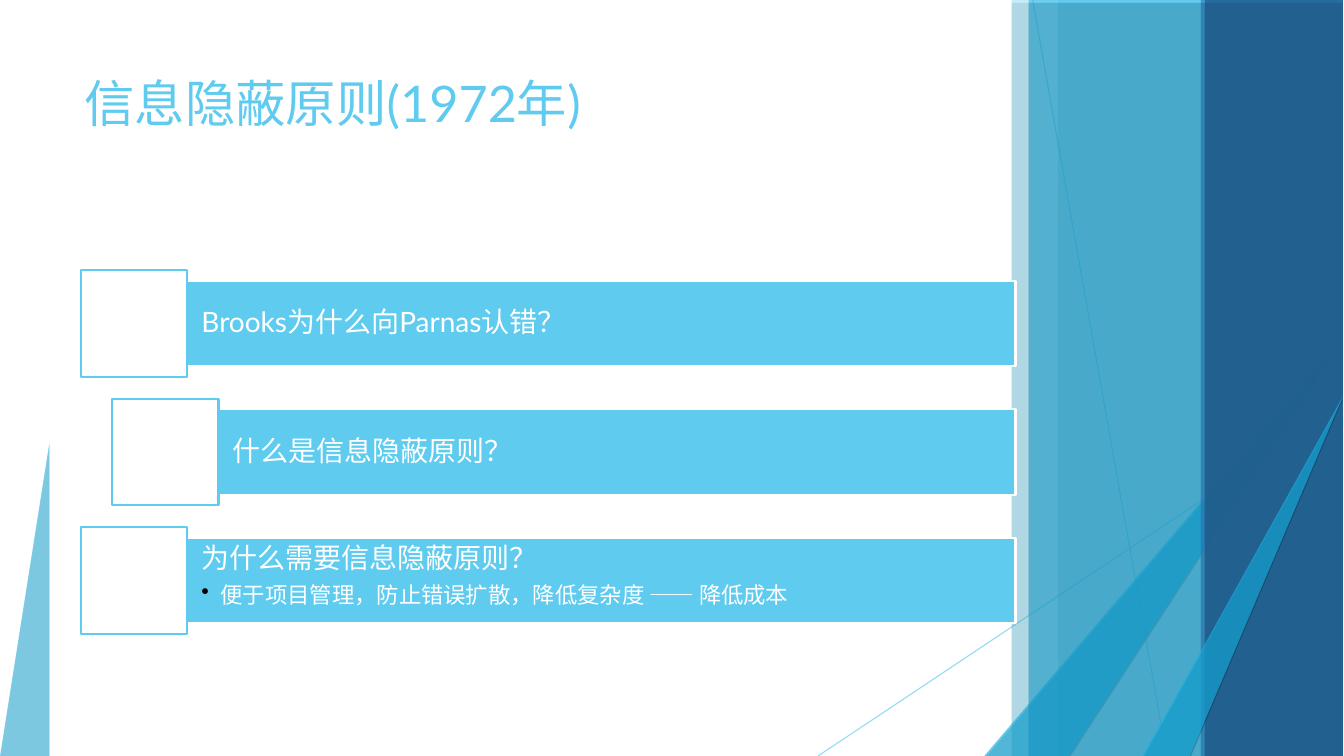
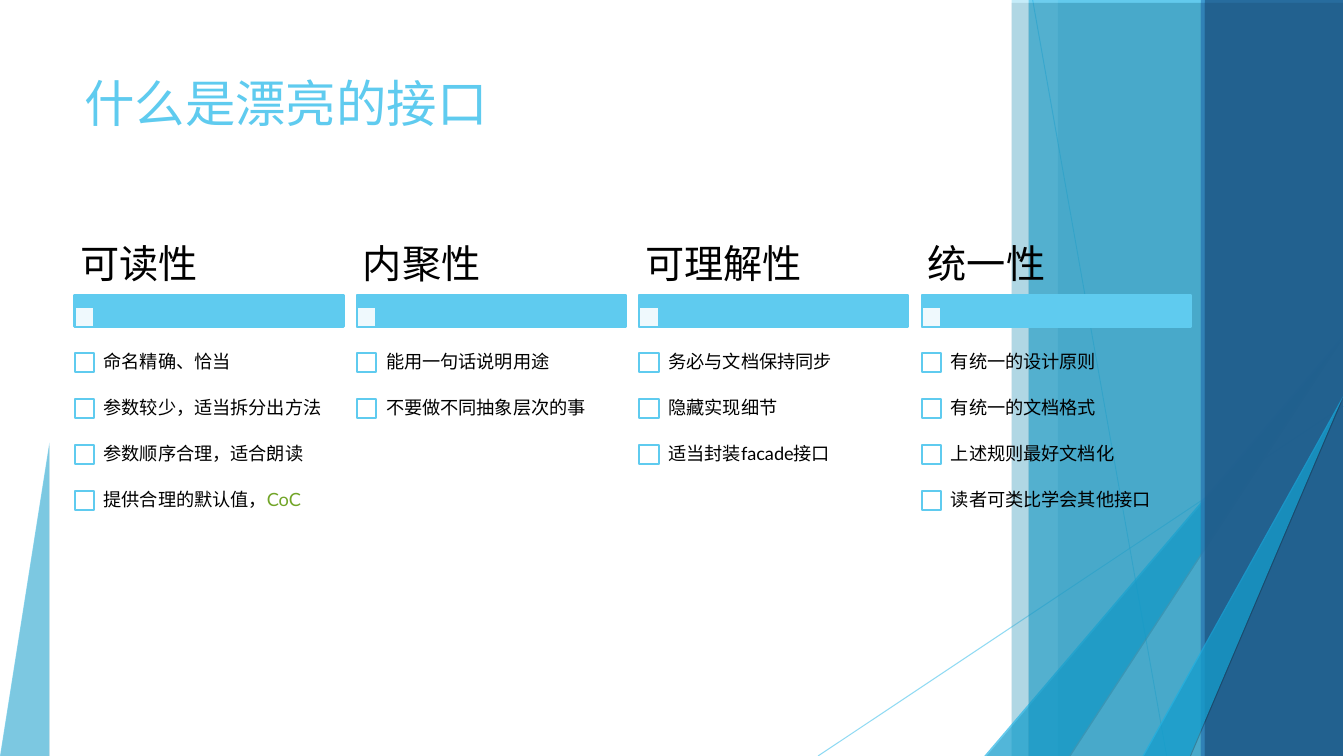
from pptx import Presentation
from pptx.dml.color import RGBColor
from pptx.enum.shapes import MSO_CONNECTOR, MSO_SHAPE
from pptx.enum.text import MSO_ANCHOR
from pptx.oxml.xmlchemy import OxmlElement
from pptx.util import Inches, Pt

# Square grid cells, 75 rows high
ROWS, COLS = 75, 133.4
CELL = Inches(7.5) / ROWS
FONT = "Lato"
SKY, AQUA, BLUE, NAVY = "5FCBEF", "17B0E4", "2E83C3", "226292"
WHITE, BLACK, GREEN = "FFFFFF", "000000", "72A528"


def cells(*nums):
    return [round(n * CELL) for n in nums]


def tint(form, color):
    """Set a fill, line or font colour from a hex string."""
    if hasattr(form, "solid"):
        form.solid()
        form = form.fore_color
    else:
        form = form.color
    form.rgb = RGBColor.from_string(color)


def node(parent, tag, **attrs):
    child = OxmlElement(tag)
    for key, value in attrs.items():
        child.set(key, str(value))
    parent.append(child)
    return child


def fade(shape, where, share):
    color = shape.element.xpath(f"./p:spPr/{where}a:solidFill/a:srgbClr")[0]
    node(color, "a:alpha", val=share * 1000)


def paint(shape, fill, alpha=100, line=None):
    shape.shadow.inherit = False
    tint(shape.fill, fill)
    if alpha < 100:
        fade(shape, "", alpha)
    if line:
        tint(shape.line, line)
        shape.line.width = Pt(1.5)
    else:
        shape.line.fill.background()
    return shape


def rect(slide, box, fill, alpha=100, line=None):
    shape = slide.shapes.add_shape(MSO_SHAPE.RECTANGLE, *cells(*box))
    return paint(shape, fill, alpha, line)


def shade(shape):
    effects = shape.element.xpath("./p:spPr/a:effectLst")[0]
    drop = node(effects, "a:outerShdw", dist=Pt(2), dir=5400000, rotWithShape=0)
    node(node(drop, "a:srgbClr", val=BLACK), "a:alpha", val=35000)


def frame(shape, insets, anchor=MSO_ANCHOR.MIDDLE):
    """Prepare a text frame; insets are left, top, right, bottom."""
    text = shape.text_frame
    text.word_wrap = True
    text.vertical_anchor = anchor
    (text.margin_left, text.margin_top,
     text.margin_right, text.margin_bottom) = cells(*insets)
    return text


def style(para, size, color, after=0, leading=0.9):
    para.alignment = 1
    para.line_spacing = leading
    para.space_after = Pt(after)
    para.font.name = FONT
    para.font.size = Pt(size)
    tint(para.font, color)


def label(slide, box, text, size, insets, after, color=BLACK,
          anchor=MSO_ANCHOR.MIDDLE, leading=0.9):
    area = frame(slide.shapes.add_textbox(*cells(*box)), insets, anchor)
    para = area.paragraphs[0]
    para.text = text
    style(para, size, color, after, leading)
    return para


def dot(para):
    props = para._p.get_or_add_pPr()
    props.set("marL", str(Inches(0.19)))
    props.set("indent", str(-Inches(0.19)))
    node(node(props, "a:buClr"), "a:srgbClr", val=BLACK)
    node(props, "a:buChar", char="•")


def band(slide, left, color, alpha):
    shade(rect(slide, (left, 0, 133.3 - left, ROWS), color, alpha))


def wedge(slide, points, color, alpha):
    first, *rest = [cells(*point) for point in points]
    pen = slide.shapes.build_freeform(*first)
    pen.add_line_segments(rest, close=True)
    shade(paint(pen.convert_to_shape(), color, alpha))


def backdrop(slide):
    # Thin rays
    for ends in ((102.5, 0, 115.8, ROWS), (133.3, 40.3, 81.2, ROWS)):
        ray = slide.shapes.add_connector(MSO_CONNECTOR.STRAIGHT, *cells(*ends))
        tint(ray.line.fill, SKY)
        ray.line.width = Pt(0.75)
        fade(ray, "a:ln/", 70)
        node(ray.element.spPr, "a:effectLst")
    # Bands and wedges, from back to front
    band(slide, 100.4, SKY, 36)
    band(slide, 105, SKY, 20)
    wedge(slide, ((97.7, ROWS), (133.3, 33.3), (106.1, ROWS)), AQUA, 66)
    band(slide, 102.1, AQUA, 50)
    band(slide, 119.2, BLUE, 70)
    band(slide, 119.6, NAVY, 80)
    wedge(slide, ((113.4, ROWS), (133.3, 39.3), (118.1, ROWS)), AQUA, 66)
    wedge(slide, ((0, ROWS), (4.9, 43.9), (4.9, ROWS)), SKY, 70)


def page(deck, title):
    slide = deck.slides.add_slide(deck.slide_layouts[6])
    backdrop(slide)
    label(slide, (7.4, 6.7, 94, 14.4), title, 36, (1, 0.5, 1, 0.5), 0,
          SKY, MSO_ANCHOR.TOP, 1)
    return slide


def bar(slide, box, lines):
    """Bar with a square at its left end; lines after the first are bullets."""
    left, top, width, side = box
    thick = side * 0.8
    shape = rect(slide, (left + side / 2, top + side * 0.1,
                         width - side / 2, thick), SKY, line=WHITE)
    anchor = MSO_ANCHOR.TOP if len(lines) > 1 else MSO_ANCHOR.MIDDLE
    text = frame(shape, (6.7, 0.6, 0.6, 0.6), anchor)
    for index, line in enumerate(lines):
        para = text.add_paragraph() if index else text.paragraphs[0]
        para.text = line
        if index:
            para.level = 1
            para.line_spacing, para.space_after = 0.9, Pt(2.5)
            dot(para)
            style(para, 16, WHITE, 2.5)
        else:
            style(para, 20, WHITE, 7)
    rect(slide, (left, top, side, side), WHITE, line=SKY)


def stack(slide, box, rows):
    left, top, width, height = box
    side = 10.6
    pitch = (height - side) / (len(rows) - 1)
    for index, lines in enumerate(rows):
        shift = 3.1 * (index % 2)
        bar(slide, (left + shift, top + index * pitch, width - shift, side), lines)


def column(slide, box, head, items):
    left, top, width, _ = box
    tick, pitch = 1.9, 4.57
    # Heading and its bar
    rect(slide, (left, top + 5.7, width, 3.1), SKY, line=SKY)
    rect(slide, (left, top + 6.9, tick, tick), WHITE, 90, SKY)
    label(slide, (left, top, width, 5.6), head, 28, (0.6, 0.4, 0.6, 0.4), 9.9)
    # Check list
    for index, (text, *marked) in enumerate(items):
        row = top + 10.1 + index * pitch
        rect(slide, (left, row + 1.3, tick, tick), WHITE, line=SKY)
        para = label(slide, (left + tick, row, width - tick, pitch),
                     text, 13, (1, 1, 1, 1), 4.6)
        for word in marked:
            run = para.add_run()
            run.text = word
            tint(run.font, GREEN)


def table(slide, box, lists):
    left, top, width, height = box
    wide = 26.7
    pitch = (width - wide) / (len(lists) - 1)
    for index, (head, items) in enumerate(lists):
        column(slide, (left + index * pitch, top, wide, height), head, items)


BARS = [
    ["Brooks为什么向Parnas认错？"],
    ["什么是信息隐蔽原则？"],
    ["为什么需要信息隐蔽原则？",
     "便于项目管理，防止错误扩散，降低复杂度 —— 降低成本"],
]
LISTS = [
    ("可读性", [("命名精确、恰当",), ("参数较少，适当拆分出方法",),
             ("参数顺序合理，适合朗读",), ("提供合理的默认值，", "CoC")]),
    ("内聚性", [("能用一句话说明用途",), ("不要做不同抽象层次的事",)]),
    ("可理解性", [("务必与文档保持同步",), ("隐藏实现细节",),
              ("适当封装facade接口",)]),
    ("统一性", [("有统一的设计原则",), ("有统一的文档格式",),
             ("上述规则最好文档化",), ("读者可类比学会其他接口",)]),
]


def main():
    deck = Presentation()
    deck.slide_width, deck.slide_height = cells(COLS, ROWS)
    stack(page(deck, "信息隐蔽原则(1972年)"), (8, 26.8, 92.8, 36.1), BARS)
    table(page(deck, "什么是漂亮的接口"), (7.4, 23.6, 110.8, 28.4), LISTS)
    deck.save("out.pptx")


if __name__ == "__main__":
    main()
